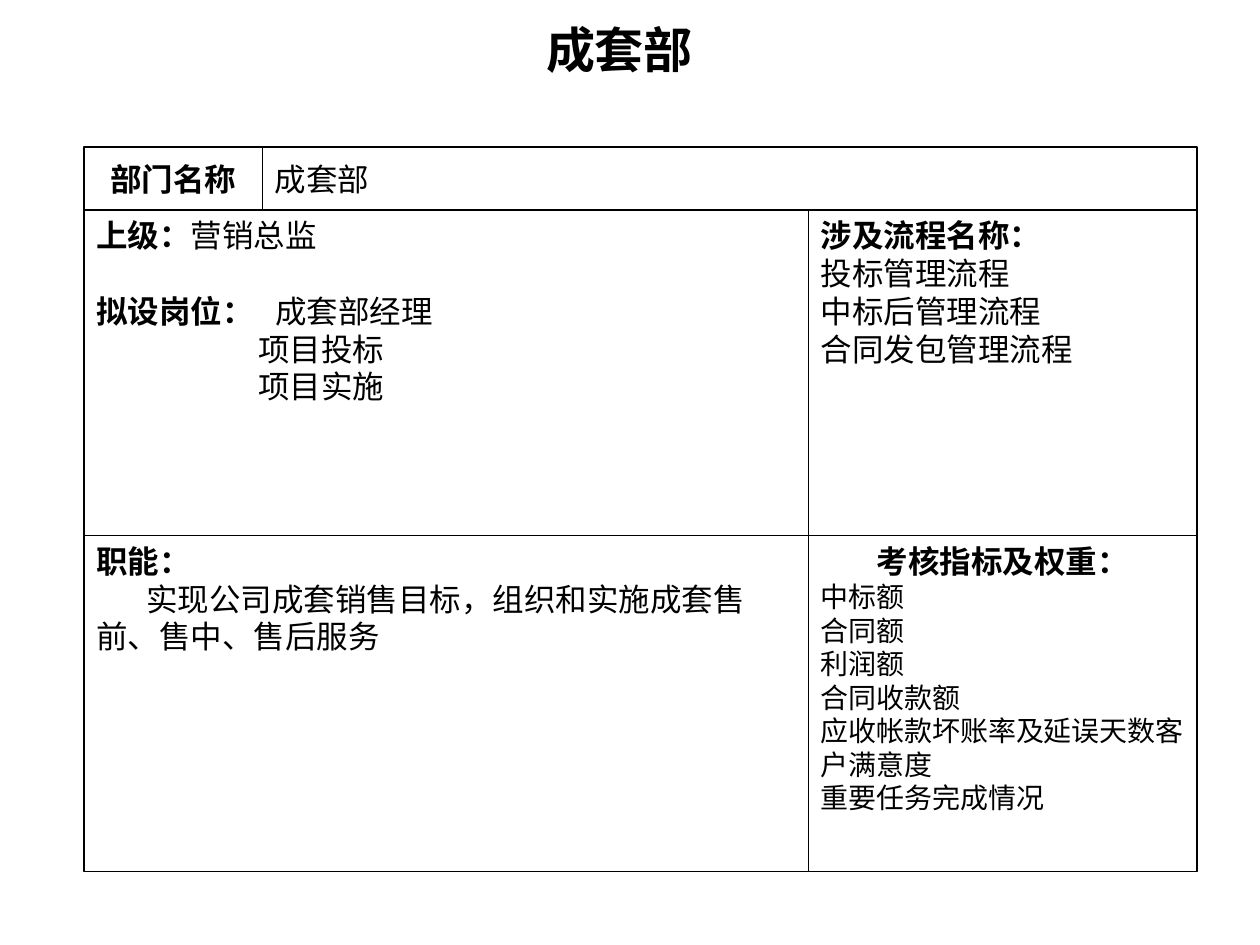
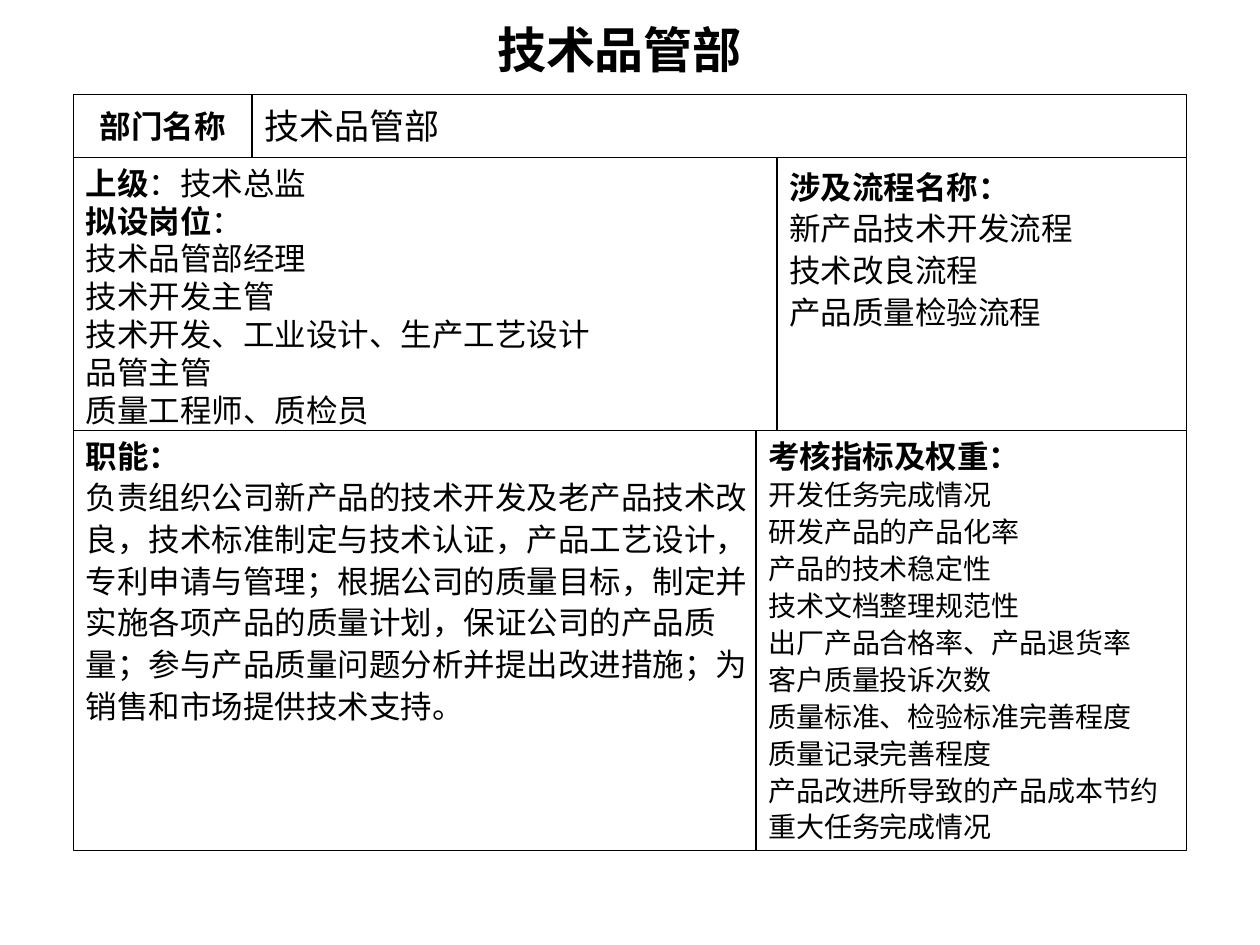
from dataclasses import dataclass

from lxml import etree
from pptx import Presentation
from pptx import util as u
from pptx.dml.color import RGBColor
from pptx.enum import shapes, text
from pptx.oxml import ns

BLACK = RGBColor(0, 0, 0)
WHITE = RGBColor(255, 255, 255)
LATIN_FONT = "Times New Roman"
CHINESE_FONT = "Noto Sans CJK SC"
TITLE_ONLY = 5
LINE_HEIGHT = 1.2
TABLE_WIDTH = 636
HEADER_HEIGHT = 36
LABEL_WIDTH = 102
LEFT, CENTER = text.PP_ALIGN.LEFT, text.PP_ALIGN.CENTER


@dataclass
class Line:
    """One paragraph: a bold lead followed by plain wording."""
    lead: str = ""
    plain: str = ""
    size: int = 18
    spacing: float = 1
    align: int = LEFT
    margin: float = 0
    first: float = 0
    before: float = 0
    tab: float = 0


def plain_lines(words, **style):
    return [Line(plain=word, **style) for word in words]


def add_span(para, wording, size, bold, font=LATIN_FONT):
    span = para.add_run()
    span.text = wording
    span.font.size = u.Pt(size)
    span.font.bold = bold
    span.font.name = font
    span.font.color.rgb = BLACK
    east_asian = etree.SubElement(span.font._element, ns.qn("a:ea"))
    east_asian.set("typeface", CHINESE_FONT)


def write_line(para, line, fixed_height):
    properties = para._p.get_or_add_pPr()
    # Keep punctuation inside the cell border
    properties.set("hangingPunct", "0")
    if line.margin or line.first:
        properties.set("marL", str(u.Pt(line.margin)))
        properties.set("indent", str(u.Pt(line.first)))
    if line.tab:
        stops = etree.SubElement(properties, ns.qn("a:tabLst"))
        etree.SubElement(stops, ns.qn("a:tab"), pos=str(u.Pt(line.tab)), algn="l")
    para.alignment = line.align
    if line.before:
        para.space_before = u.Pt(line.before)
    if fixed_height:
        para.line_spacing = u.Pt(round(line.size * LINE_HEIGHT * line.spacing, 1))
    for wording, bold in ((line.lead, True), (line.plain, False)):
        if wording:
            add_span(para, wording, line.size, bold)


def add_cell(page, left, top, width, height, lines, header=False):
    box = page.shapes.add_shape(shapes.MSO_SHAPE.RECTANGLE, u.Pt(left), u.Pt(top),
                                u.Pt(width), u.Pt(height))
    box.shadow.inherit = False
    box.fill.solid()
    box.fill.fore_color.rgb = WHITE
    box.line.color.rgb = BLACK
    box.line.width = u.Pt(0.75)
    frame = box.text_frame
    frame.word_wrap = True
    frame.margin_left = frame.margin_right = u.Pt(7.2)
    frame.margin_top = frame.margin_bottom = u.Pt(3.6)
    frame.vertical_anchor = text.MSO_ANCHOR.MIDDLE if header else text.MSO_ANCHOR.TOP
    for number, line in enumerate(lines):
        para = frame.add_paragraph() if number else frame.paragraphs[0]
        write_line(para, line, not header)


def add_title(page, wording):
    title = page.shapes.title
    title.left, title.top = u.Pt(48), u.Pt(7.2)
    title.width, title.height = u.Pt(612), u.Pt(41)
    frame = title.text_frame
    frame.word_wrap = True
    frame.auto_size = text.MSO_AUTO_SIZE.NONE
    frame.vertical_anchor = text.MSO_ANCHOR.MIDDLE
    para = frame.paragraphs[0]
    para.alignment = CENTER
    para.line_spacing = u.Pt(28 * LINE_HEIGHT)
    add_span(para, wording, 28, True, CHINESE_FONT)


def add_department(deck, name, left, top, name_size, rows):
    """Each row is (height, left cell width, right cell start, left lines, right lines)."""
    page = deck.slides.add_slide(deck.slide_layouts[TITLE_ONLY])
    add_title(page, name)
    add_cell(page, left, top, LABEL_WIDTH, HEADER_HEIGHT,
             [Line("部门名称", align=CENTER)], header=True)
    add_cell(page, left + LABEL_WIDTH, top, TABLE_WIDTH - LABEL_WIDTH, HEADER_HEIGHT,
             [Line(plain=name, size=name_size)], header=True)
    top += HEADER_HEIGHT
    for height, left_width, split, left_lines, right_lines in rows:
        add_cell(page, left, top, left_width, height, left_lines)
        add_cell(page, left + split, top, TABLE_WIDTH - split, height, right_lines)
        top += height


def add_project_department(deck):
    posts = [Line("上级：", "营销总监"),
             Line("拟设岗位：", "\t成套部经理", before=21.6, tab=102.3),
             *plain_lines(["项目投标", "项目实施"], margin=92.5)]
    processes = [Line("涉及流程名称："),
                 *plain_lines(["投标管理流程", "中标后管理流程", "合同发包管理流程"])]
    duties = [Line("职能："),
              Line(plain="实现公司成套销售目标，组织和实施成套售前、售中、售后服务", first=28.5)]
    measures = [Line("考核指标及权重：", align=CENTER),
                *plain_lines(["中标额", "合同额", "利润额", "合同收款额",
                              "应收帐款坏账率及延误天数客户满意度",
                              "重要任务完成情况"], size=16)]
    add_department(deck, "成套部", 48, 84, 18,
                   [(186, 414, 414, posts, processes),
                    (192, 414, 414, duties, measures)])


def add_quality_department(deck):
    posts = [Line("上级", "：技术总监"), Line("拟设岗位", "："),
             *plain_lines(["技术品管部经理", "技术开发主管",
                           "技术开发、工业设计、生产工艺设计",
                           "品管主管", "质量工程师、质检员"])]
    processes = [Line("涉及流程名称：", spacing=1.1),
                 *plain_lines(["新产品技术开发流程", "技术改良流程", "产品质量检验流程"],
                              spacing=1.1)]
    duties = [Line("职能："),
              Line(plain="负责组织公司新产品的技术开发及老产品技术改良，技术标准制定与技术认证，"
                         "产品工艺设计，专利申请与管理；根据公司的质量目标，制定并实施各项产品的"
                         "质量计划，保证公司的产品质量；参与产品质量问题分析并提出改进措施；"
                         "为销售和市场提供技术支持。", spacing=1.1)]
    hanging = {"margin": 36, "first": -36}
    measures = [Line("考核指标及权重：", **hanging),
                *plain_lines(["开发任务完成情况", "研发产品的产品化率", "产品的技术稳定性",
                              "技术文档整理规范性", "出厂产品合格率、产品退货率",
                              "客户质量投诉次数", "质量标准、检验标准完善程度",
                              "质量记录完善程度", "产品改进所导致的产品成本节约",
                              "重大任务完成情况"], size=16, spacing=1.1, **hanging)]
    add_department(deck, "技术品管部", 42, 54, 20,
                   [(156, 432, 402, posts, processes),
                    (240, 396, 390, duties, measures)])


def main():
    deck = Presentation()
    deck.slide_width, deck.slide_height = u.Pt(720), u.Pt(540)
    add_project_department(deck)
    add_quality_department(deck)
    deck.save("out.pptx")


if __name__ == "__main__":
    main()
